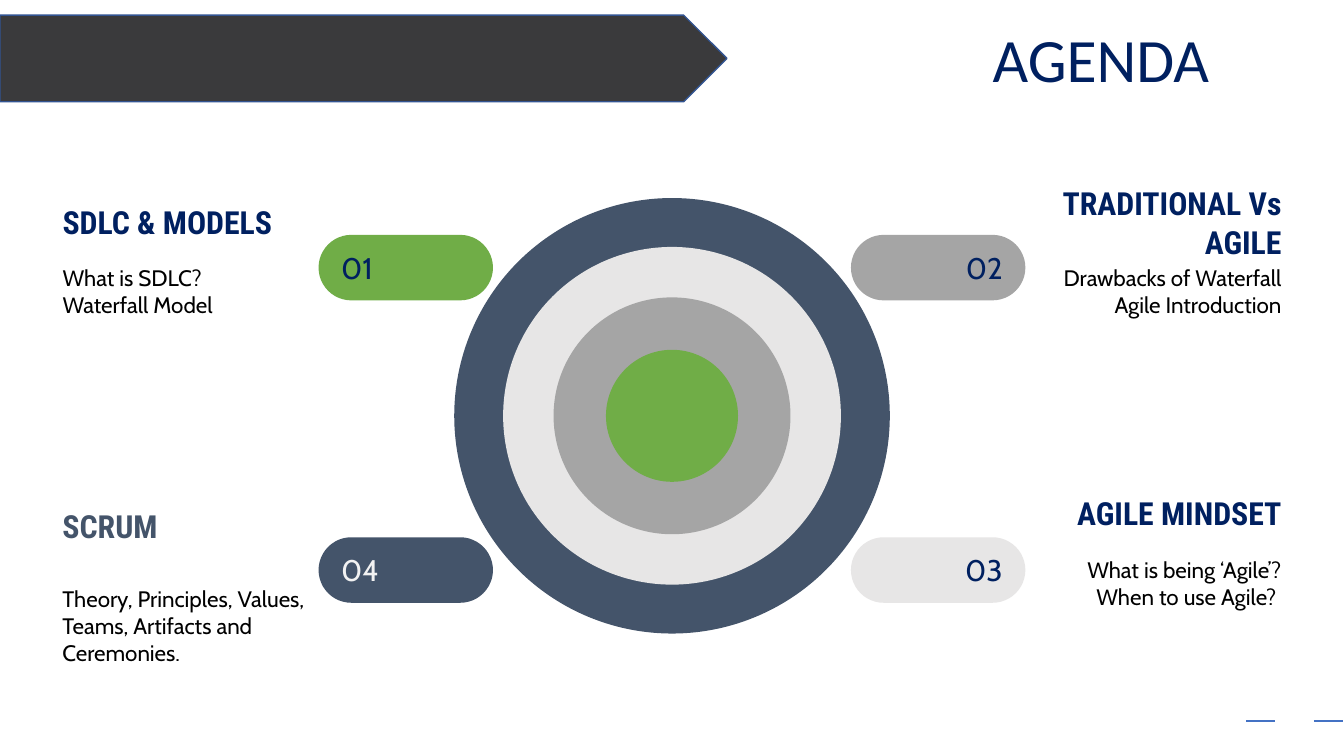
import pptx
import pptx.util
import pptx.dml.color
import pptx.enum.shapes
import pptx.enum.text
import lxml.etree

SLIDE_WIDTH, SLIDE_HEIGHT = 13.33, 7.5
NAVY, SLATE, GREEN, GREY, PALE = "002060", "44546A", "70AD47", "A5A5A5", "E7E6E6"
MARGIN, INSET = 0.49, 0.13
PILL_LEFT, PILL_WIDTH, PILL_HEIGHT = 3.16, 1.73, 0.65
PILL_TOPS = [2.33, 5.33]
CENTRE_X, CENTRE_Y = SLIDE_WIDTH / 2, SLIDE_HEIGHT * 0.55

RINGS = [(4.32, SLATE), (3.35, PALE), (2.35, GREY), (1.31, GREEN)]
FOOTER_DASHES = [12.36, 13.03]
TOPICS = [
    {"number": "01", "row": 0, "right": False, "pill": GREEN, "number_color": NAVY,
     "heading": ["SDLC & MODELS"], "heading_color": NAVY, "heading_box": (1.89, 2.75, 0.63),
     "body": ["What is SDLC?", "Waterfall Model"], "body_box": (2.5, 2.75, 0.78)},
    {"number": "02", "row": 0, "right": True, "pill": GREY, "number_color": NAVY,
     "heading": ["TRADITIONAL Vs AGILE"], "heading_color": NAVY, "heading_box": (1.89, 3.07, 0.63),
     "body": ["Drawbacks of Waterfall", "Agile Introduction"], "body_box": (2.5, 2.75, 0.78)},
    {"number": "03", "row": 1, "right": True, "pill": PALE, "number_color": NAVY,
     "heading": ["AGILE MINDSET"], "heading_color": NAVY, "heading_box": (4.77, 2.75, 0.63),
     "body": ["What is being ‘Agile’?", "When to use Agile? "], "body_box": (5.39, 2.75, 0.78)},
    {"number": "04", "row": 1, "right": False, "pill": SLATE, "number_color": "F2F2F2",
     "heading": ["SCRUM"], "heading_color": SLATE, "heading_box": (4.77, 3.07, 0.89),
     "body": ["Theory, Principles, Values, Teams, Artifacts and Ceremonies."],
     "body_box": (5.65, 3.07, 1.11)},
]

SHAPES = pptx.enum.shapes.MSO_SHAPE
ALIGN = pptx.enum.text.PP_ALIGN
ANCHOR = pptx.enum.text.MSO_ANCHOR


def inches(*lengths):
    return [pptx.util.Inches(length) for length in lengths]


def color(value):
    return pptx.dml.color.RGBColor.from_string(value)


def write(shape, lines, size, font, fill, bold=False, align=ALIGN.LEFT,
          anchor=ANCHOR.MIDDLE, spacing=None):
    frame = shape.text_frame
    frame.word_wrap = True
    frame.auto_size = pptx.enum.text.MSO_AUTO_SIZE.NONE
    frame.vertical_anchor = anchor
    frame.margin_left = frame.margin_right = pptx.util.Inches(INSET)
    frame.margin_top = frame.margin_bottom = pptx.util.Inches(INSET)
    frame.text = "\n".join(lines)
    for paragraph in frame.paragraphs:
        paragraph.alignment = align
        paragraph.line_spacing = spacing
        paragraph.font.size = pptx.util.Pt(size)
        paragraph.font.name = font
        paragraph.font.bold = bold
        paragraph.font.color.rgb = color(fill)


def add_shape(slide, kind, box, fill, line=None):
    shape = slide.shapes.add_shape(kind, *inches(*box))
    shape.shadow.inherit = False
    shape.fill.solid()
    shape.fill.fore_color.rgb = color(fill)
    if line:
        shape.line.color.rgb = color(line)
        shape.line.width = pptx.util.Pt(1)
    else:
        shape.line.fill.background()
    return shape


def add_dash(slide, left):
    top = 7.15
    dash = slide.shapes.add_connector(
        pptx.enum.shapes.MSO_CONNECTOR.STRAIGHT, *inches(left, top, left + 0.29, top))
    dash.line.color.rgb = color("4472C4")
    dash.line.width = pptx.util.Pt(1.25)
    lxml.etree.SubElement(dash._element.spPr, pptx.oxml.ns.qn("a:effectLst"))


def side_left(offset, width, right):
    return SLIDE_WIDTH - offset - width if right else offset


def add_topic(slide, topic):
    right = topic["right"]
    align = ALIGN.RIGHT if right else ALIGN.LEFT
    pill_box = (side_left(PILL_LEFT, PILL_WIDTH, right), PILL_TOPS[topic["row"]],
                PILL_WIDTH, PILL_HEIGHT)
    pill = add_shape(slide, SHAPES.ROUNDED_RECTANGLE, pill_box, topic["pill"])
    pill.adjustments[0] = 0.5
    write(pill, [topic["number"]], 21.3, "Cabin", topic["number_color"], align=align)
    for part, size, font, fill, bold in [
            ("heading", 22.7, "Roboto Condensed", topic["heading_color"], True),
            ("body", 16, "Cabin", "000000", False)]:
        top, width, height = topic[part + "_box"]
        box = slide.shapes.add_textbox(
            *inches(side_left(MARGIN, width, right), top, width, height))
        write(box, topic[part], size, font, fill, bold=bold, align=align)


def main():
    presentation = pptx.Presentation()
    presentation.slide_width, presentation.slide_height = inches(SLIDE_WIDTH, SLIDE_HEIGHT)
    slide = presentation.slides.add_slide(presentation.slide_layouts[5])

    title = slide.shapes.title
    title.left, title.top, title.width, title.height = inches(8.51, 0.16, 4.82, 0.84)
    write(title, ["AGENDA"], 44, "Calibri", NAVY, align=ALIGN.CENTER,
          anchor=ANCHOR.TOP, spacing=0.9)

    add_shape(slide, SHAPES.PENTAGON, (0, 0.15, 7.21, 0.86), "3A3A3C", line="325491")
    for left in FOOTER_DASHES:
        add_dash(slide, left)
    for diameter, fill in RINGS:
        box = (CENTRE_X - diameter / 2, CENTRE_Y - diameter / 2, diameter, diameter)
        add_shape(slide, SHAPES.OVAL, box, fill)
    for topic in TOPICS:
        add_topic(slide, topic)

    presentation.save("out.pptx")


if __name__ == "__main__":
    main()
